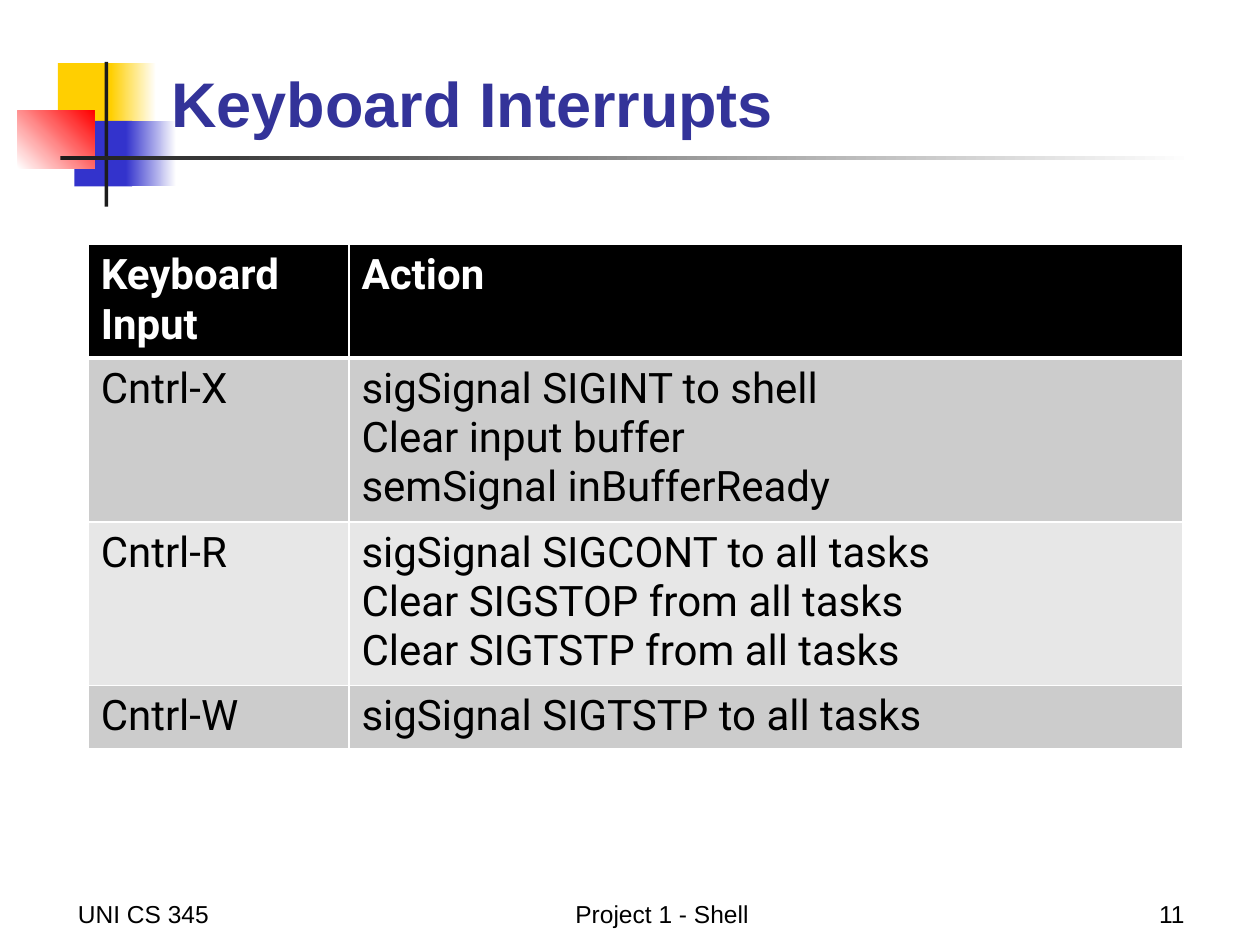
from dataclasses import dataclass

from lxml.etree import SubElement
from pptx import Presentation
from pptx.dml.color import RGBColor
from pptx.enum.shapes import MSO_SHAPE
from pptx.enum.text import MSO_ANCHOR, MSO_AUTO_SIZE, PP_ALIGN
from pptx.oxml.ns import qn
from pptx.util import Inches, Pt


@dataclass(frozen=True)
class Theme:
    white: str = "FFFFFF"
    black: str = "000000"
    ink: str = "1C1C1C"
    yellow: str = "FFCF01"
    blue: str = "3333CC"
    red: str = "FF0000"
    title: str = "333399"
    bands: tuple = ("CCCCCC", "E7E7E7")
    head_font: str = "Arial"
    table_font: str = "Roboto"
    title_size: int = 36
    table_size: int = 24
    footer_size: int = 14


T = Theme()
WIDTH, HEIGHT = 10, 7.5
TABLE_BOX = (0.7, 1.94, 8.69, 1.64)
COLUMNS = (2.07, 6.62)
FOOTER_TOP, FOOTER_HEIGHT = 6.92, 0.5

DECORATIONS = (
    ((0.46, 0.5, 0.48, 0.52), (T.yellow,), 0),
    ((0.88, 0.5, 0.36, 0.52), (T.yellow, T.white), 0),
    ((0.59, 0.96, 0.46, 0.52), (T.blue,), 0),
    ((1, 0.96, 0.4, 0.52), (T.blue, T.white), 0),
    ((0.14, 0.88, 0.61, 0.46), (T.white, T.red), 45),
    ((0.83, 0.49, 0.03, 1.15), (T.ink,), 0),
    ((0.48, 1.24, 9, 0.03), (T.ink, T.white), 0),
)
FOOTERS = (
    (0.52, 2.08, "UNI CS 345", PP_ALIGN.LEFT),
    (3.67, 3.17, "Project 1 - Shell", PP_ALIGN.CENTER),
    (7.42, 2.08, "11", PP_ALIGN.RIGHT),
)
ROWS = (
    ("Keyboard Input", "Action"),
    ("Cntrl-X", "sigSignal SIGINT to shell\nClear input buffer\nsemSignal inBufferReady"),
    ("Cntrl-R", "sigSignal SIGCONT to all tasks\nClear SIGSTOP from all tasks\nClear SIGTSTP from all tasks"),
    ("Cntrl-W", "sigSignal SIGTSTP to all tasks"),
)


def inches(box):
    return [Inches(v) for v in box]


def set_all(obj, values):
    for name, value in values.items():
        setattr(obj, name, value)


def write(tf, text, font, size, color, bold=False, align=PP_ALIGN.LEFT):
    tf.text = text
    for p in tf.paragraphs:
        p.alignment = align
        for r in p.runs:
            set_all(r.font, {"name": font, "size": Pt(size), "bold": bold})
            r.font.color.rgb = RGBColor.from_string(color)


def add_block(s, box, colors, angle):
    sp = s.shapes.add_shape(MSO_SHAPE.RECTANGLE, *inches(box))
    sp.shadow.inherit = False
    sp.line.fill.background()
    if len(colors) == 1:
        sp.fill.solid()
        sp.fill.fore_color.rgb = RGBColor.from_string(colors[0])
        return
    sp.fill.gradient()
    sp.fill.gradient_angle = angle
    for stop, color in zip(sp.fill.gradient_stops, colors):
        stop.color.rgb = RGBColor.from_string(color)


def add_title(s, text):
    sp = s.shapes.title
    set_all(sp, dict(zip(("left", "top", "width", "height"), inches((1.26, 0.21, 8.52, 0.95)))))
    tf = sp.text_frame
    set_all(tf, {"vertical_anchor": MSO_ANCHOR.BOTTOM, "auto_size": MSO_AUTO_SIZE.NONE})
    write(tf, text, T.head_font, T.title_size, T.title, bold=True)


def add_footer(s, left, width, text, align):
    sp = s.shapes.add_textbox(*inches((left, FOOTER_TOP, width, FOOTER_HEIGHT)))
    tf = sp.text_frame
    set_all(tf, {"word_wrap": True, "vertical_anchor": MSO_ANCHOR.BOTTOM})
    write(tf, text, T.head_font, T.footer_size, T.black, align=align)


def add_borders(cell, widths):
    tc_pr = cell._tc.get_or_add_tcPr()
    for side, width in widths.items():
        ln = SubElement(tc_pr, qn(f"a:ln{side}"), w=str(Pt(width)))
        fill = SubElement(ln, qn("a:solidFill"))
        SubElement(fill, qn("a:srgbClr"), val=T.white)


def add_key_table(s):
    table = s.shapes.add_table(len(ROWS), len(COLUMNS), *inches(TABLE_BOX)).table
    for column, width in zip(table.columns, COLUMNS):
        column.width = Inches(width)
    for i, row in enumerate(ROWS):
        header = i == 0
        fill = T.black if header else T.bands[(i - 1) % 2]
        color = T.white if header else T.black
        widths = {"L": 1, "R": 1, "T": 3 if i == 1 else 1, "B": 3 if header else 1}
        for j, text in enumerate(row):
            cell = table.cell(i, j)
            add_borders(cell, widths)
            cell.fill.solid()
            cell.fill.fore_color.rgb = RGBColor.from_string(fill)
            write(cell.text_frame, text, T.table_font, T.table_size, color, bold=header)


def main():
    prs = Presentation()
    set_all(prs, {"slide_width": Inches(WIDTH), "slide_height": Inches(HEIGHT)})
    s = prs.slides.add_slide(prs.slide_layouts[5])
    for box, colors, angle in DECORATIONS:
        add_block(s, box, colors, angle)
    for footer in FOOTERS:
        add_footer(s, *footer)
    add_key_table(s)
    add_title(s, "Keyboard Interrupts")
    title = s.shapes.title._element
    title.getparent().append(title)
    prs.save("out.pptx")


if __name__ == "__main__":
    main()
